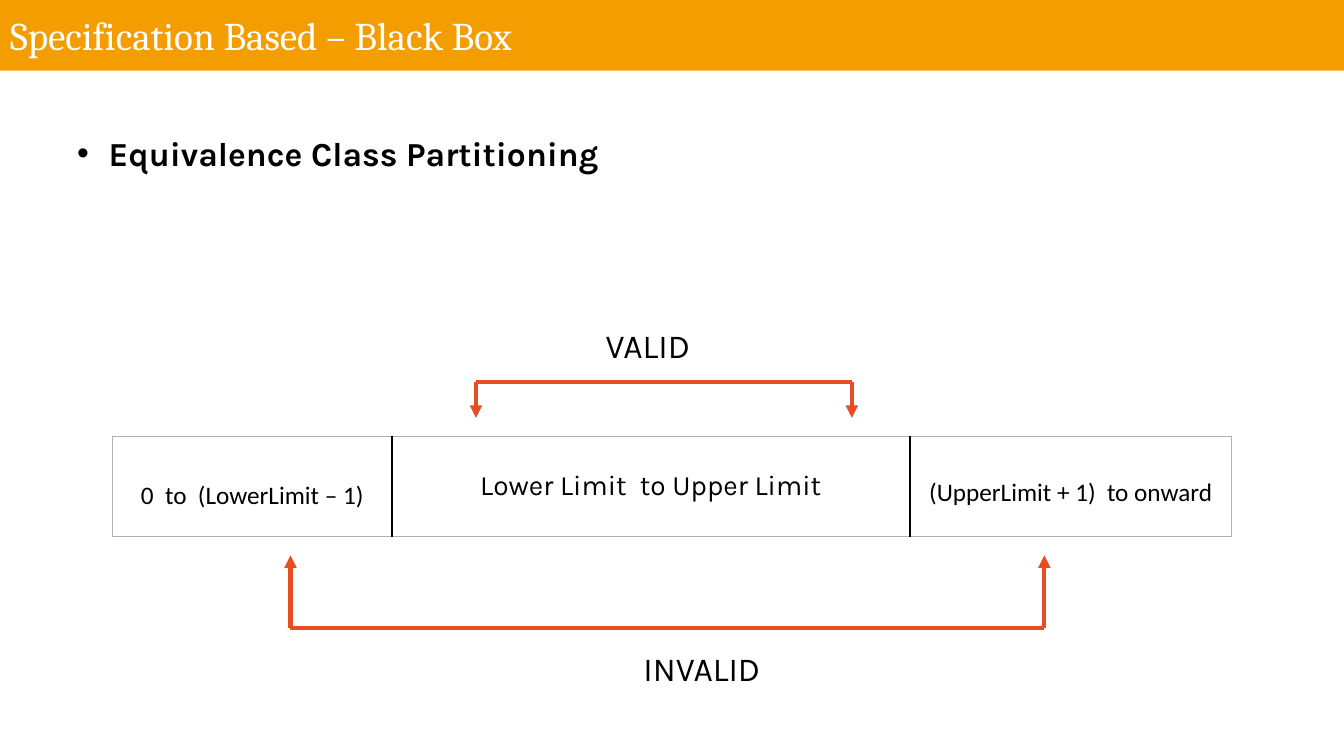
from lxml.etree import SubElement
from pptx import Presentation
from pptx.dml.color import RGBColor
from pptx.enum.shapes import MSO_CONNECTOR
from pptx.enum.text import MSO_ANCHOR, MSO_AUTO_SIZE, PP_ALIGN
from pptx.oxml.ns import qn
from pptx.util import Pt

ORANGE = RGBColor(0xF4, 0x9D, 0x00)
RED = RGBColor(0xE8, 0x4C, 0x22)
BLACK = RGBColor(0x00, 0x00, 0x00)
WHITE = RGBColor(0xFF, 0xFF, 0xFF)
GRAY = RGBColor(0xB2, 0xB2, 0xB2)


def write(frame, text, font="Karla", size=24, color=BLACK, bold=False,
          align=PP_ALIGN.LEFT, anchor=MSO_ANCHOR.TOP):
    """Put formatted text in a text frame and return its paragraph."""
    frame.word_wrap = True
    frame.vertical_anchor = anchor
    paragraph = frame.paragraphs[0]
    paragraph.alignment = align
    run = paragraph.add_run()
    run.text = text
    run.font.name = font
    run.font.size = Pt(size)
    run.font.bold = bold
    run.font.color.rgb = color
    return paragraph


class SlideBuilder:
    """Hold the line style and the current slide, and add elements to it."""

    def __init__(self, slide, line_color=RED, line_width=3):
        """Remember the slide and the style of its arrows."""
        self.slide = slide
        self.line_color = line_color
        self.line_width = line_width

    def title(self, text, width, height):
        """Turn the title placeholder into a coloured band."""
        shape = self.slide.shapes.title
        shape.left, shape.top, shape.width, shape.height = 0, 0, Pt(width), Pt(height)
        shape.fill.solid()
        shape.fill.fore_color.rgb = ORANGE
        shape.text_frame.auto_size = MSO_AUTO_SIZE.NONE
        write(shape.text_frame, text, font="Cambria", size=28, color=WHITE,
              anchor=MSO_ANCHOR.MIDDLE)

    def label(self, text, left, top, width, **text_format):
        """Add a text box and return its paragraph."""
        shape = self.slide.shapes.add_textbox(Pt(left), Pt(top), Pt(width), Pt(36.35))
        return write(shape.text_frame, text, **text_format)

    def bullet(self, text, left, top, width, **text_format):
        """Add a text box with a hanging bullet."""
        paragraph = self.label(text, left, top, width, **text_format)
        properties = paragraph._p.get_or_add_pPr()
        properties.set("marL", str(Pt(22.5)))
        properties.set("indent", str(-Pt(22.5)))
        SubElement(properties, qn("a:buFont"), typeface="Arial")
        SubElement(properties, qn("a:buChar"), char="•")

    def line(self, start, end, arrow=False):
        """Draw a straight line, with an arrowhead at its end if asked."""
        connector = self.slide.shapes.add_connector(
            MSO_CONNECTOR.STRAIGHT, *map(Pt, start + end))
        connector.line.color.rgb = self.line_color
        connector.line.width = Pt(self.line_width)
        if arrow:
            SubElement(connector.line._get_or_add_ln(), qn("a:tailEnd"), type="triangle")
        SubElement(connector._element.spPr, qn("a:effectLst"))

    def bracket(self, left, right, base, tip):
        """Draw a bar whose two ends point to the table."""
        self.line((left, base), (right, base))
        for x in (left, right):
            self.line((x, base), (x, tip), arrow=True)

    def border(self, cell, side, color):
        """Set one border of a table cell."""
        line = SubElement(cell._tc.get_or_add_tcPr(), qn(f"a:ln{side}"), w=str(Pt(1)))
        fill = SubElement(line, qn("a:solidFill"))
        SubElement(fill, qn("a:srgbClr"), val=str(color))

    def table(self, left, top, height, columns):
        """Add a one-row table of (width, top margin, text, format) columns."""
        width = sum(column[0] for column in columns)
        table = self.slide.shapes.add_table(
            1, len(columns), Pt(left), Pt(top), Pt(width), Pt(height)).table
        table.first_row = table.horz_banding = False
        last = len(columns) - 1
        for index, (width, margin, text, text_format) in enumerate(columns):
            table.columns[index].width = Pt(width)
            cell = table.cell(0, index)
            cell.margin_left = cell.margin_right = Pt(5)
            cell.margin_top, cell.margin_bottom = Pt(margin), 0
            write(cell.text_frame, text, align=PP_ALIGN.CENTER, **text_format)
            self.border(cell, "L", BLACK if index > 0 else GRAY)
            self.border(cell, "R", BLACK if index < last else GRAY)
            self.border(cell, "T", GRAY)
            self.border(cell, "B", GRAY)
            cell.fill.background()


def main():
    """Build the slide and save it."""
    presentation = Presentation()
    presentation.slide_width, presentation.slide_height = Pt(960), Pt(540)
    builder = SlideBuilder(presentation.slides.add_slide(presentation.slide_layouts[5]))
    builder.title("Specification Based – Black Box", 960, 50.4)
    builder.bullet("Equivalence Class Partitioning", 48, 91.5, 480, bold=True)
    limit = {"font": "Calibri", "size": 18}
    builder.table(80.5, 311.8, 71.3, [
        (199.5, 31.5, "0  to  (LowerLimit – 1)", limit),
        (370, 24, "Lower Limit  to Upper Limit", {"size": 20}),
        (229.7, 29.5, "(UpperLimit + 1)  to onward", limit),
    ])
    builder.bracket(340, 608.5, 272.8, 298.5)
    builder.bracket(207.5, 746, 448.5, 396.7)
    builder.label("VALID", 425.5, 228.5, 130)
    builder.label("INVALID", 452.5, 459, 130)
    presentation.save("out.pptx")


if __name__ == "__main__":
    main()
